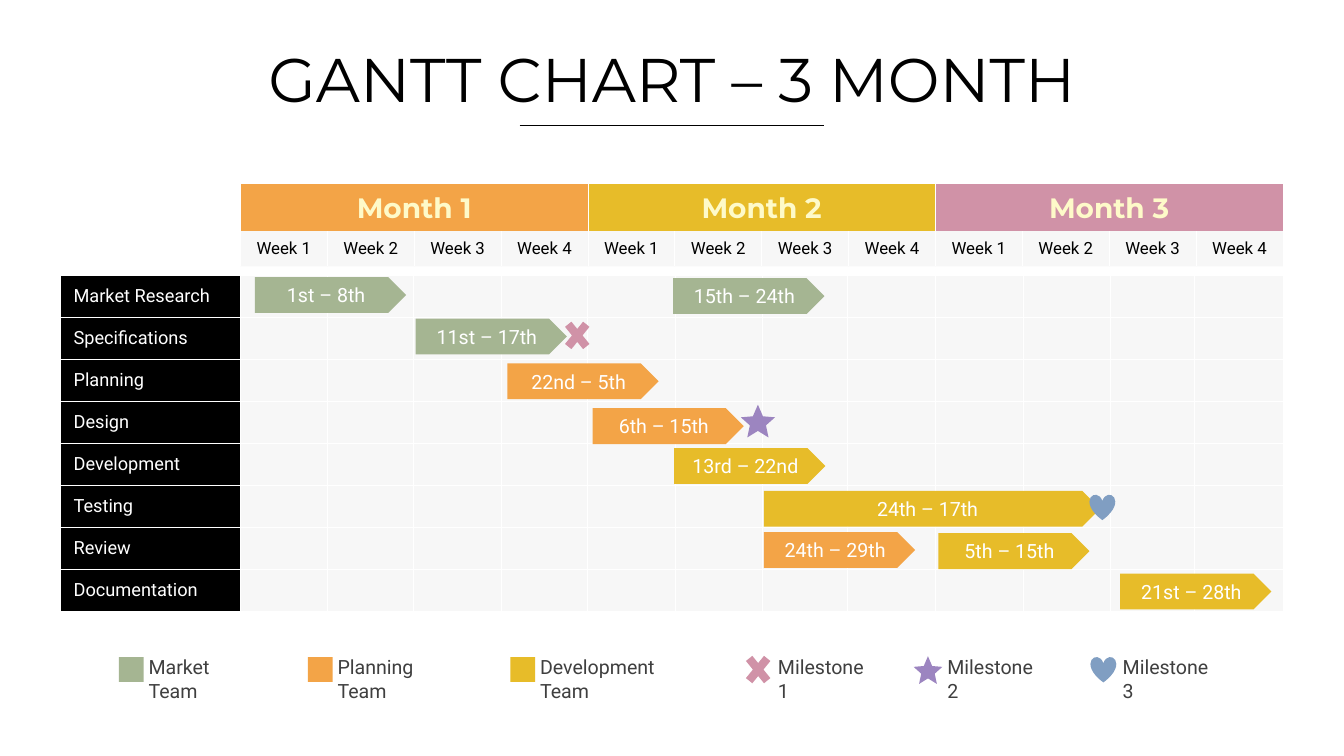
import pptx
import pptx.util
import pptx.dml.color
import pptx.enum.shapes
import pptx.enum.text
import pptx.oxml.ns
from lxml import etree

Inches, Pt = pptx.util.Inches, pptx.util.Pt
RGBColor = pptx.dml.color.RGBColor
SHAPES = pptx.enum.shapes.MSO_SHAPE
ANCHOR = pptx.enum.text.MSO_ANCHOR
ALIGN = pptx.enum.text.PP_ALIGN
qn = pptx.oxml.ns.qn

BLACK = RGBColor(0x00, 0x00, 0x00)
WHITE = RGBColor(0xFF, 0xFF, 0xFF)
CREAM = RGBColor(0xFE, 0xFA, 0xC9)
DARK_GRAY = RGBColor(0x3F, 0x3F, 0x3F)
GRID_GRAY = RGBColor(0xCC, 0xCC, 0xCC)
GREEN = RGBColor(0xA5, 0xB5, 0x92)
ORANGE = RGBColor(0xF3, 0xA4, 0x47)
YELLOW = RGBColor(0xE7, 0xBC, 0x29)
PINK = RGBColor(0xD0, 0x92, 0xA7)
PURPLE = RGBColor(0x9C, 0x85, 0xC0)
BLUE = RGBColor(0x80, 0x9E, 0xC2)
HEADING_FONT, BODY_FONT = "Montserrat", "Roboto"
NO_TABLE_STYLE = "{2D5ABB26-0587-4C30-8999-92F81FD0307C}"

TITLE = "GANTT CHART – 3 MONTH"
MONTHS = [("Month 1", ORANGE), ("Month 2", YELLOW), ("Month 3", PINK)]
WEEKS = ["Week 1", "Week 2", "Week 3", "Week 4"]
TASKS = ["Market Research", "Specifications", "Planning", "Design",
         "Development", "Testing", "Review", "Documentation"]
TASK_COLUMNS = [3.57, 1.73, 1.71, 1.74, 1.7, 1.75, 1.72,
                1.7, 1.75, 1.73, 1.73, 1.68, 1.75]
TASK_ROW = 0.835
HEADER_WIDTH = 20.69
HEADER_ROWS = [0.92, 0.7]
BAR_HEIGHT = 0.71

# dates, team colour, left, top, width
BARS = [
    ("1st – 8th", GREEN, 5.06, 5.5, 3),
    ("15th – 24th", GREEN, 13.36, 5.52, 3),
    ("11st – 17th", GREEN, 8.25, 6.32, 3),
    ("22nd – 5th", ORANGE, 10.07, 7.21, 3),
    ("6th – 15th", ORANGE, 11.76, 8.1, 3),
    ("13rd – 22nd", YELLOW, 13.38, 8.89, 3),
    ("24th – 17th", YELLOW, 15.16, 9.74, 6.67),
    ("24th – 29th", ORANGE, 15.16, 10.56, 3),
    ("5th – 15th", YELLOW, 18.62, 10.58, 3),
    ("21st – 28th", YELLOW, 22.23, 11.38, 3),
]
# kind, colour, left, top, width, height
MARKERS = [
    ("cross", PINK, 11.11, 6.23, 0.69, 0.85),
    ("star", PURPLE, 14.7, 8.03, 0.68, 0.65),
    ("heart", BLUE, 21.62, 9.81, 0.51, 0.51),
    ("square", GREEN, 2.36, 13.04, 0.49, 0.49),
    ("square", ORANGE, 6.11, 13.04, 0.49, 0.49),
    ("square", YELLOW, 10.13, 13.04, 0.49, 0.49),
    ("cross", PINK, 14.7, 12.86, 0.69, 0.85),
    ("star", PURPLE, 18.13, 13.02, 0.57, 0.55),
    ("heart", BLUE, 21.64, 13.03, 0.51, 0.51),
]
# text, left, width
LEGEND = [
    ("Market Team", 2.85, 2.35), ("Planning Team", 6.6, 2.67),
    ("Development Team", 10.62, 3.42), ("Milestone 1", 15.34, 2.07),
    ("Milestone 2", 18.7, 2.07), ("Milestone 3", 22.18, 2.07),
]
PRESETS = {"cross": SHAPES.MATH_MULTIPLY, "heart": SHAPES.HEART,
           "square": SHAPES.RECTANGLE}
# left half of the star, as fractions of its box; the right half mirrors it
STAR_HALF = [(0.5, 0.8), (0.19, 1), (0.265, 0.63), (0, 0.385),
             (0.353, 0.354), (0.5, 0)]
STAR = STAR_HALF + [(1 - x, y) for x, y in STAR_HALF[-2:0:-1]]


def write(frame, text, size, color, font=BODY_FONT, align=ALIGN.LEFT, bold=False):
    paragraph = frame.paragraphs[0]
    paragraph.alignment = align
    run = paragraph.add_run()
    run.text = text
    run.font.size, run.font.name, run.font.bold = Pt(size), font, bold
    run.font.color.rgb = color
    return paragraph


def add_text_box(slide, left, top, width, height):
    frame = slide.shapes.add_textbox(
        Inches(left), Inches(top), Inches(width), Inches(height)).text_frame
    frame.word_wrap = True
    return frame


def paint(shape, color):
    shape.shadow.inherit = False
    shape.fill.solid()
    shape.fill.fore_color.rgb = color
    shape.line.fill.background()


def add_table(slide, left, top, columns, rows):
    shape = slide.shapes.add_table(
        len(rows), len(columns), Inches(left), Inches(top),
        Inches(sum(columns)), Inches(sum(rows)))
    table = shape.table
    table.first_row = table.horz_banding = False
    table._tbl.tblPr.find(qn("a:tableStyleId")).text = NO_TABLE_STYLE
    for column, width in zip(table.columns, columns):
        column.width = Inches(width)
    for row, height in zip(table.rows, rows):
        row.height = Inches(height)
    return table


def style_cell(cell, color, sides):
    """Draw white borders on the given sides, then fill; grid gray is see-through."""
    cell.margin_left = cell.margin_right = Inches(0.26)
    cell.margin_top = cell.margin_bottom = Inches(0.13)
    cell.vertical_anchor = ANCHOR.MIDDLE
    properties = cell._tc.get_or_add_tcPr()
    for side in sides:
        border = etree.SubElement(properties, qn("a:ln" + side), w=str(Pt(1)))
        fill = etree.SubElement(border, qn("a:solidFill"))
        etree.SubElement(fill, qn("a:srgbClr"), val=str(WHITE))
    cell.fill.solid()
    cell.fill.fore_color.rgb = color
    if color == GRID_GRAY:
        etree.SubElement(properties.find(".//" + qn("a:solidFill") + "/" + qn("a:srgbClr")
                                         + f"[@val='{GRID_GRAY}']"),
                         qn("a:alpha"), val="15000")


def add_title(slide):
    frame = add_text_box(slide, 1.83, 0.8, 23, 1.68)
    frame.vertical_anchor = ANCHOR.MIDDLE
    write(frame, TITLE, 88, BLACK, HEADING_FONT, ALIGN.CENTER).line_spacing = 0.9
    rule = slide.shapes.add_connector(
        pptx.enum.shapes.MSO_CONNECTOR.STRAIGHT,
        Inches(10.31), Inches(2.48), Inches(16.35), Inches(2.48))
    rule.line.color.rgb = BLACK
    rule.line.width = Pt(1)
    etree.SubElement(rule._element.spPr, qn("a:effectLst"))


def add_task_grid(slide):
    table = add_table(slide, 1.2, 5.46, TASK_COLUMNS, [TASK_ROW] * len(TASKS))
    for row, task in enumerate(TASKS):
        for column in range(len(TASK_COLUMNS)):
            color = GRID_GRAY if column else BLACK
            style_cell(table.cell(row, column), color, "LRTB")
        write(table.cell(row, 0).text_frame, task, 26, WHITE)


def add_calendar_header(slide):
    count = len(MONTHS) * len(WEEKS)
    table = add_table(slide, 4.77, 3.66, [HEADER_WIDTH / count] * count, HEADER_ROWS)
    for month, (name, color) in enumerate(MONTHS):
        first = month * len(WEEKS)
        for offset, week in enumerate(WEEKS):
            style_cell(table.cell(0, first + offset), color, "LR")
            cell = table.cell(1, first + offset)
            style_cell(cell, GRID_GRAY, "LR")
            write(cell.text_frame, week, 24, BLACK, align=ALIGN.CENTER)
        cell = table.cell(0, first)
        cell.merge(table.cell(0, first + len(WEEKS) - 1))
        write(cell.text_frame, name, 40, CREAM, HEADING_FONT, ALIGN.CENTER, True)


def add_bar(slide, dates, color, left, top, width):
    bar = slide.shapes.add_shape(SHAPES.PENTAGON, Inches(left), Inches(top),
                                 Inches(width), Inches(BAR_HEIGHT))
    paint(bar, color)
    bar.text_frame.vertical_anchor = ANCHOR.MIDDLE
    write(bar.text_frame, dates, 28, WHITE, align=ALIGN.CENTER)


def add_marker(slide, kind, color, left, top, width, height):
    if kind == "star":
        points = [(Inches(left + x * width), Inches(top + y * height)) for x, y in STAR]
        builder = slide.shapes.build_freeform(*points[0])
        builder.add_line_segments(points[1:], close=True)
        shape = builder.convert_to_shape()
    else:
        shape = slide.shapes.add_shape(PRESETS[kind], Inches(left), Inches(top),
                                       Inches(width), Inches(height))
    paint(shape, color)


def main():
    presentation = pptx.Presentation()
    presentation.slide_width, presentation.slide_height = Inches(26.67), Inches(15)
    slide = presentation.slides.add_slide(presentation.slide_layouts[6])
    add_title(slide)
    add_task_grid(slide)
    add_calendar_header(slide)
    for bar in BARS:
        add_bar(slide, *bar)
    for marker in MARKERS:
        add_marker(slide, *marker)
    for text, left, width in LEGEND:
        write(add_text_box(slide, left, 12.95, width, 0.57), text, 28, DARK_GRAY)
    presentation.save("out.pptx")


if __name__ == "__main__":
    main()
